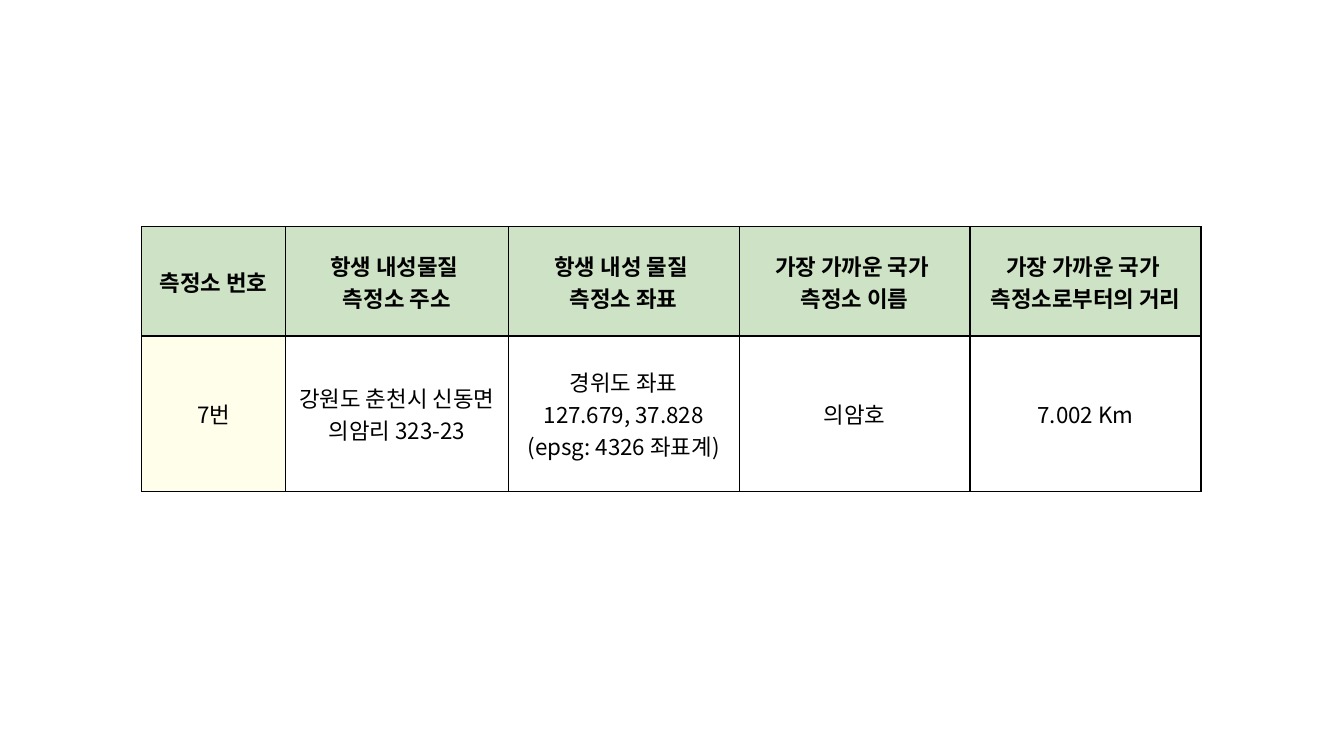
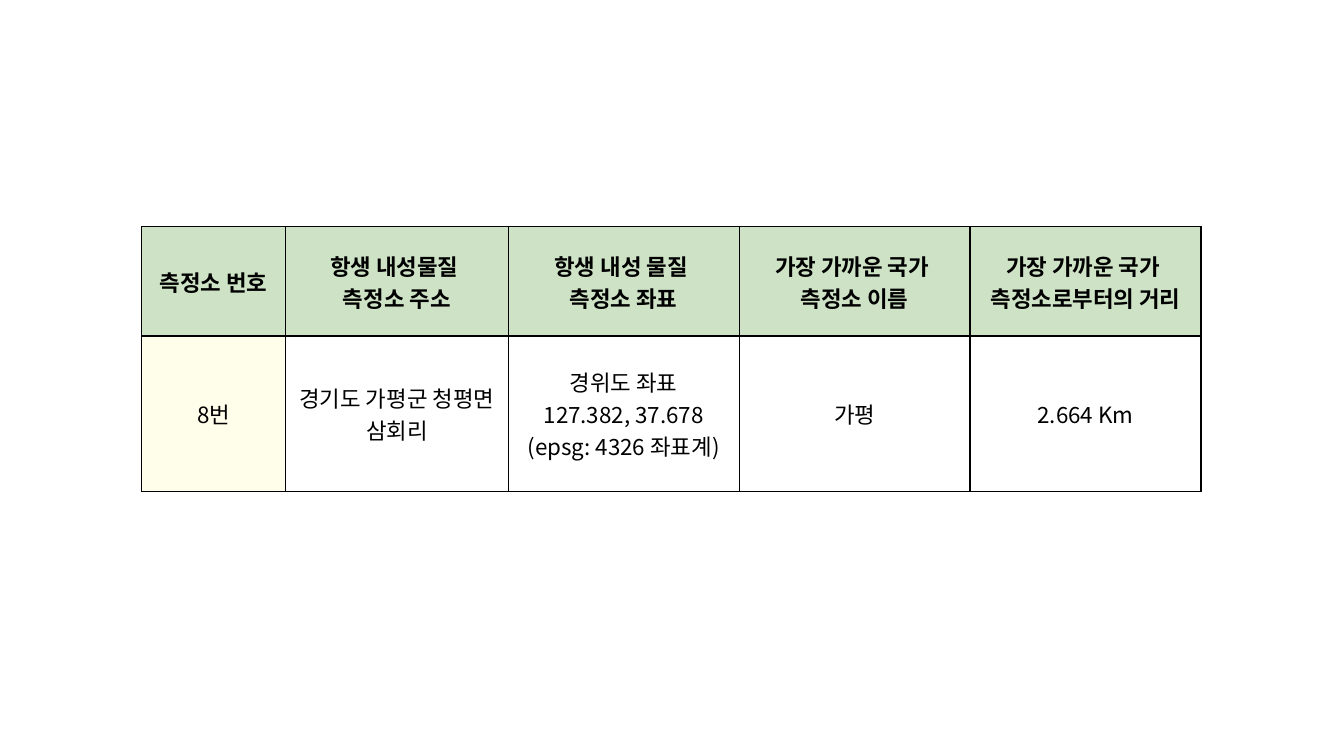
from dataclasses import dataclass

from lxml.etree import SubElement
from pptx import Presentation
from pptx.dml.color import RGBColor
from pptx.enum.text import MSO_ANCHOR, PP_ALIGN
from pptx.oxml.ns import qn
from pptx.util import Emu, Pt


@dataclass(frozen=True)
class Theme:
    font: str = "Noto Sans CJK KR"
    text_size: int = 16
    border_width: int = 1
    text: str = "000000"
    border: str = "000000"
    header_fill: str = "CEE3C5"
    number_fill: str = "FFFEEB"
    body_fill: str = "FFFFFF"


THEME = Theme()
EMU_PER_PX = 9525
SLIDE_WIDTH, SLIDE_HEIGHT = 1280, 720
TABLE_LEFT, TABLE_TOP = 135, 216
COLUMN_WIDTHS = (137, 212, 220, 220, 220)
ROW_HEIGHTS = (104, 148)

# "\v" is a line break inside a paragraph, "\n" starts a new paragraph.
HEADERS = (
    "측정소 번호",
    "항생 내성물질 \v측정소 주소",
    "항생 내성 물질 \v측정소 좌표",
    "가장 가까운 국가 \v측정소 이름",
    "가장 가까운 국가 \v측정소로부터의 거리",
)
# number, address, coordinates, nearest national station, distance
STATIONS = (
    ("7번", "강원도 춘천시 신동면 의암리 323-23", "127.679, 37.828", "의암호", "7.002 Km"),
    ("8번", "경기도 가평군 청평면 삼회리", "127.382, 37.678", "가평", "2.664 Km"),
)


def px(length):
    return Emu(length * EMU_PER_PX)


def set_borders(cell):
    properties = cell._tc.get_or_add_tcPr()
    for side in ("a:lnL", "a:lnR", "a:lnT", "a:lnB"):
        line = SubElement(properties, qn(side), w=str(Pt(THEME.border_width)))
        fill = SubElement(line, qn("a:solidFill"))
        SubElement(fill, qn("a:srgbClr"), val=THEME.border)


def format_run(run, bold):
    font_format = {"name": THEME.font, "size": Pt(THEME.text_size), "bold": bold}
    for name, value in font_format.items():
        setattr(run.font, name, value)
    run.font.color.rgb = RGBColor.from_string(THEME.text)
    SubElement(run.font._element, qn("a:ea"), typeface=THEME.font)


def fill_cell(cell, text, fill, bold):
    set_borders(cell)
    cell.fill.solid()
    cell.fill.fore_color.rgb = RGBColor.from_string(fill)
    cell.vertical_anchor = MSO_ANCHOR.MIDDLE
    cell.text_frame.text = text
    for paragraph in cell.text_frame.paragraphs:
        paragraph.alignment = PP_ALIGN.CENTER
        for run in paragraph.runs:
            format_run(run, bold)


def add_station_table(slide, station):
    number, address, coordinates, nearest, distance = station
    location = f"경위도 좌표\n{coordinates} (epsg: 4326 좌표계)"
    rows = (HEADERS, (number, address, location, nearest, distance))
    table = slide.shapes.add_table(
        len(rows), len(HEADERS), px(TABLE_LEFT), px(TABLE_TOP),
        px(sum(COLUMN_WIDTHS)), px(sum(ROW_HEIGHTS)),
    ).table
    table.horz_banding = False
    for column, width in zip(table.columns, COLUMN_WIDTHS):
        column.width = px(width)
    for row, height in zip(table.rows, ROW_HEIGHTS):
        row.height = px(height)

    body_fills = [THEME.number_fill] + [THEME.body_fill] * (len(HEADERS) - 1)
    row_fills = ([THEME.header_fill] * len(HEADERS), body_fills)
    for row_index, (texts, fills) in enumerate(zip(rows, row_fills)):
        for column_index, (text, fill) in enumerate(zip(texts, fills)):
            cell = table.cell(row_index, column_index)
            fill_cell(cell, text, fill, bold=row_index == 0)


def main():
    presentation = Presentation()
    presentation.slide_width = px(SLIDE_WIDTH)
    presentation.slide_height = px(SLIDE_HEIGHT)
    blank_layout = presentation.slide_layouts.get_by_name("Blank")
    for station in STATIONS:
        add_station_table(presentation.slides.add_slide(blank_layout), station)
    presentation.save("out.pptx")


if __name__ == "__main__":
    main()
